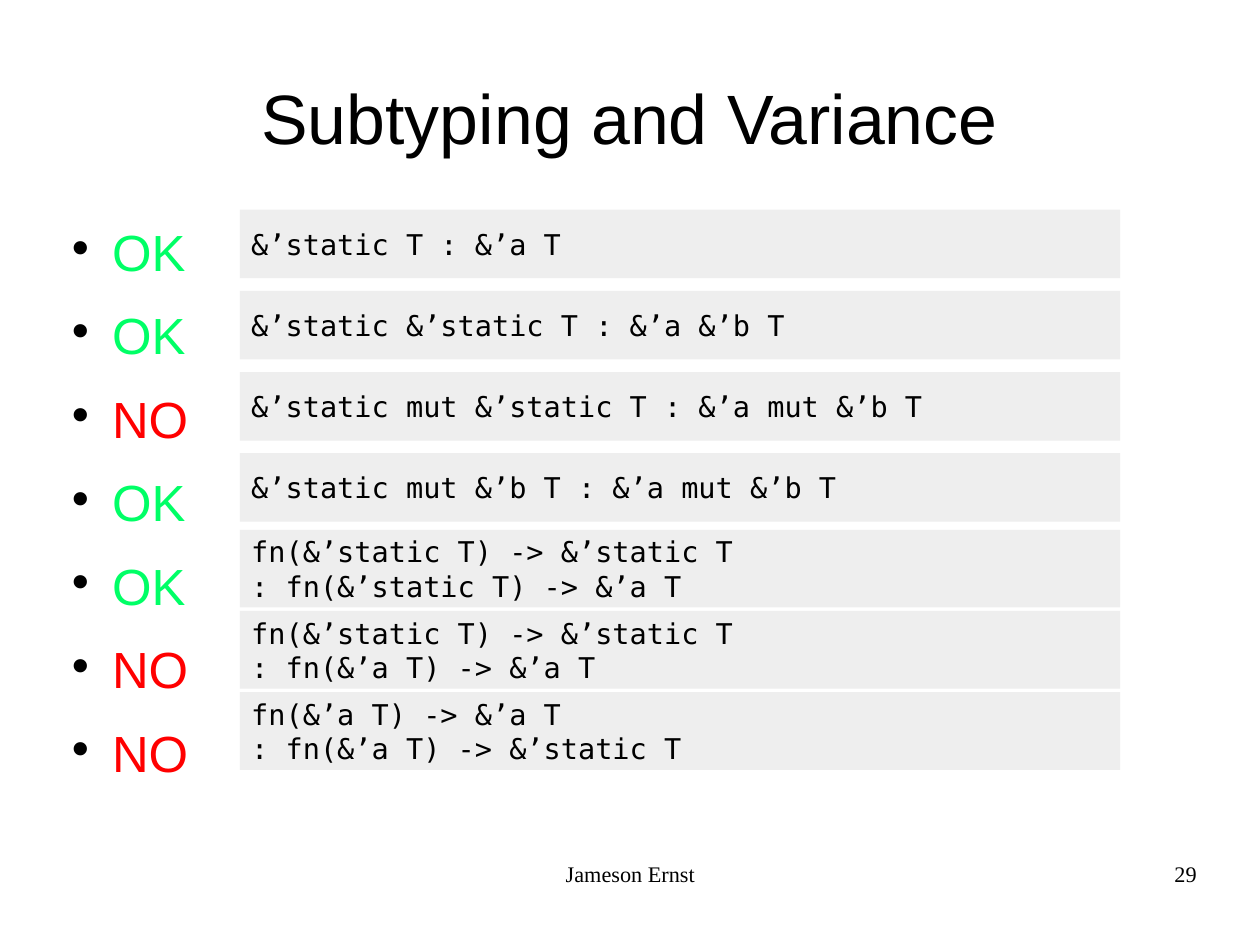
from lxml import etree
from pptx import Presentation, util as u
from pptx.dml.color import RGBColor
from pptx.enum import shapes, text
from pptx.oxml.ns import qn

BLACK = RGBColor(0, 0, 0)
GREEN = RGBColor(0x00, 0xFF, 0x66)
RED = RGBColor(0xFF, 0, 0)
GREY = RGBColor(0xEE, 0xEE, 0xEE)
SANS, MONO, SERIF = "Arial", "DejaVu Sans Mono", "Times New Roman"
WIDE, HIGH = u.Cm(28), u.Cm(21)
PITCH = 0.71  # distance between code rows
MID = text.MSO_ANCHOR.MIDDLE
ALIGN = text.PP_ALIGN

# Verdict and code lines of each row
RULES = [
    ("OK", ["&’static T : &’a T"]),
    ("OK", ["&’static &’static T : &’a &’b T"]),
    ("NO", ["&’static mut &’static T : &’a mut &’b T"]),
    ("OK", ["&’static mut &’b T : &’a mut &’b T"]),
    ("OK", ["fn(&’static T) -> &’static T", ": fn(&’static T) -> &’a T"]),
    ("NO", ["fn(&’static T) -> &’static T", ": fn(&’a T) -> &’a T"]),
    ("NO", ["fn(&’a T) -> &’a T", ": fn(&’a T) -> &’static T"]),
]


def inch(box):
    return [u.Inches(n) for n in box]


def place(shape, box):
    shape.left, shape.top, shape.width, shape.height = inch(box)


def write(shape, lines, face, size, align=ALIGN.LEFT, anchor=text.MSO_ANCHOR.TOP,
          pad=(0, 0)):
    """Fill a shape with lines of black text and return its paragraphs."""
    frame = shape.text_frame
    frame.text = "\n".join(lines)
    frame.word_wrap = True
    frame.auto_size = text.MSO_AUTO_SIZE.NONE
    frame.vertical_anchor = anchor
    frame.margin_left = frame.margin_right = u.Inches(pad[0])
    frame.margin_top = frame.margin_bottom = u.Inches(pad[1])
    for para in frame.paragraphs:
        para.alignment = align
        para.font.name, para.font.size = face, u.Pt(size)
        para.font.color.rgb = BLACK
    return frame.paragraphs


def bullet(para):
    """Give a paragraph a small black dot and a hanging indent."""
    props = para._p.get_or_add_pPr()
    props.set("marL", str(u.Inches(0.47)))
    props.set("indent", str(u.Inches(-0.35)))
    color = etree.SubElement(props, qn("a:buClr"))
    etree.SubElement(color, qn("a:srgbClr"), val=str(BLACK))
    etree.SubElement(props, qn("a:buSzPct"), val="45000")
    etree.SubElement(props, qn("a:buFont"), typeface="Wingdings", charset="2")
    etree.SubElement(props, qn("a:buChar"), char="\uf06c")


def heading(slide, box):
    title = slide.shapes.title
    place(title, box)
    write(title, ["Subtyping and Variance"], SANS, 44, ALIGN.CENTER, MID)


def verdicts(slide, box):
    body = slide.placeholders[1]
    place(body, box)
    for para in write(body, [word for word, _ in RULES], SANS, 32):
        para.space_before = u.Pt(14.2)
        para.font.color.rgb = GREEN if para.text == "OK" else RED
        bullet(para)


def codes(slide, box):
    left, top, width, height = box
    row = height / len(RULES)
    for i, (_, lines) in enumerate(RULES):
        tall = 0.6 if len(lines) == 1 else 0.68
        y = top + i * row + (row - tall) / 2
        panel = slide.shapes.add_shape(shapes.MSO_SHAPE.RECTANGLE,
                                       *inch((left, y, width, tall)))
        panel.shadow.inherit = False
        panel.fill.solid()
        panel.fill.fore_color.rgb = GREY
        panel.line.fill.background()
        write(panel, lines, MONO, 18, anchor=MID, pad=(0.1, 0.05))


def footer(slide, box):
    left, top, width, height = box
    name = slide.shapes.add_textbox(*inch((left, top, 3.49, height)))
    write(name, ["Jameson Ernst"], SERIF, 14, ALIGN.CENTER)
    page = slide.shapes.add_textbox(*inch((left + width - 2.57, top, 2.57, height)))
    write(page, ["29"], SERIF, 14, ALIGN.RIGHT)


deck = Presentation()
deck.slide_width, deck.slide_height = WIDE, HIGH
slide = deck.slides.add_slide(deck.slide_layouts[1])
wide, high = WIDE.inches, HIGH.inches
heading(slide, (0.05 * wide, 0.04 * high, 0.9 * wide, 1.38))
verdicts(slide, (0.51, 1.93, 0.9 * wide, 4.79))
codes(slide, (2.1, 1.78, 7.7, PITCH * len(RULES)))
footer(slide, (3.77, 7.53, 6.7, 0.57))
deck.save("out.pptx")
